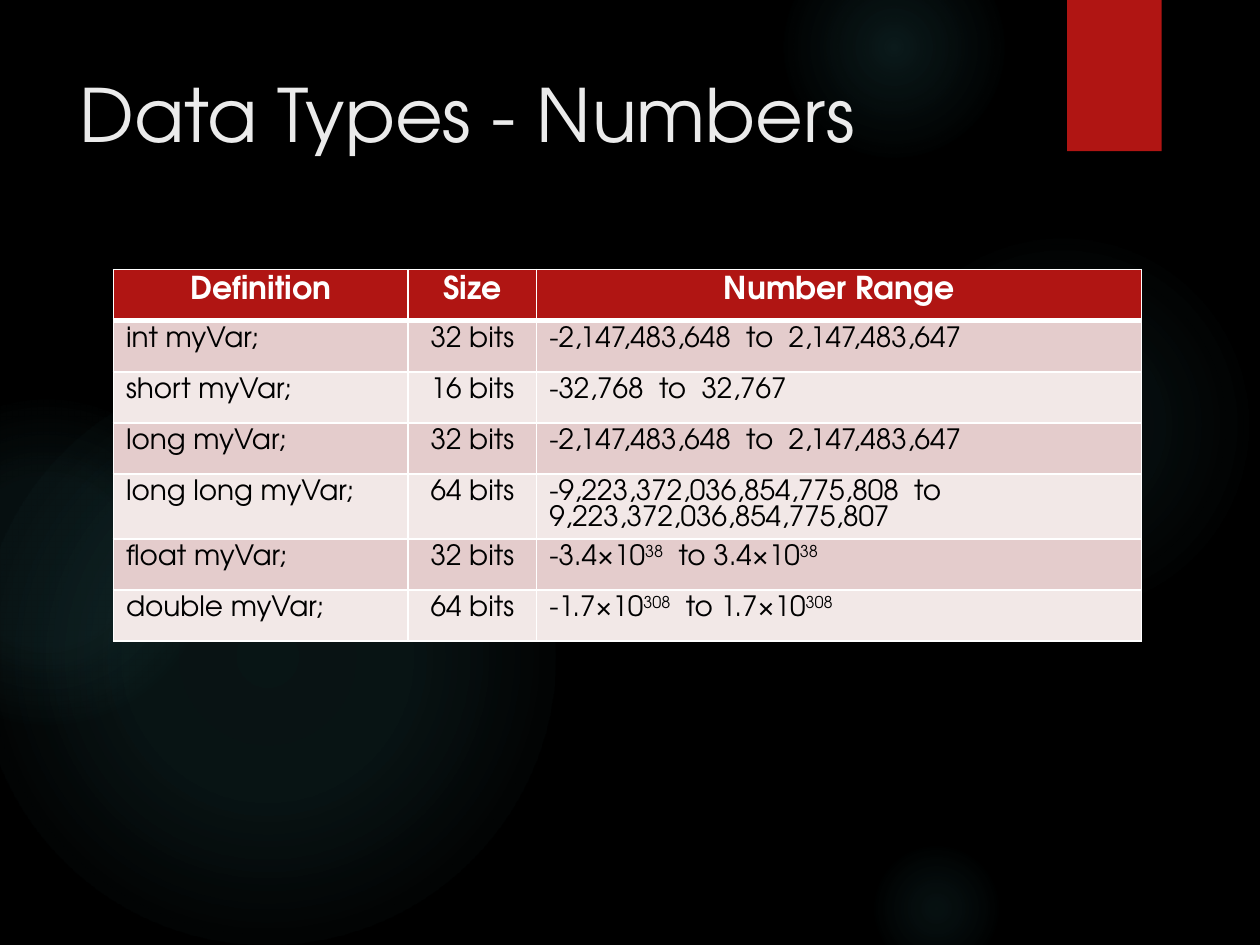
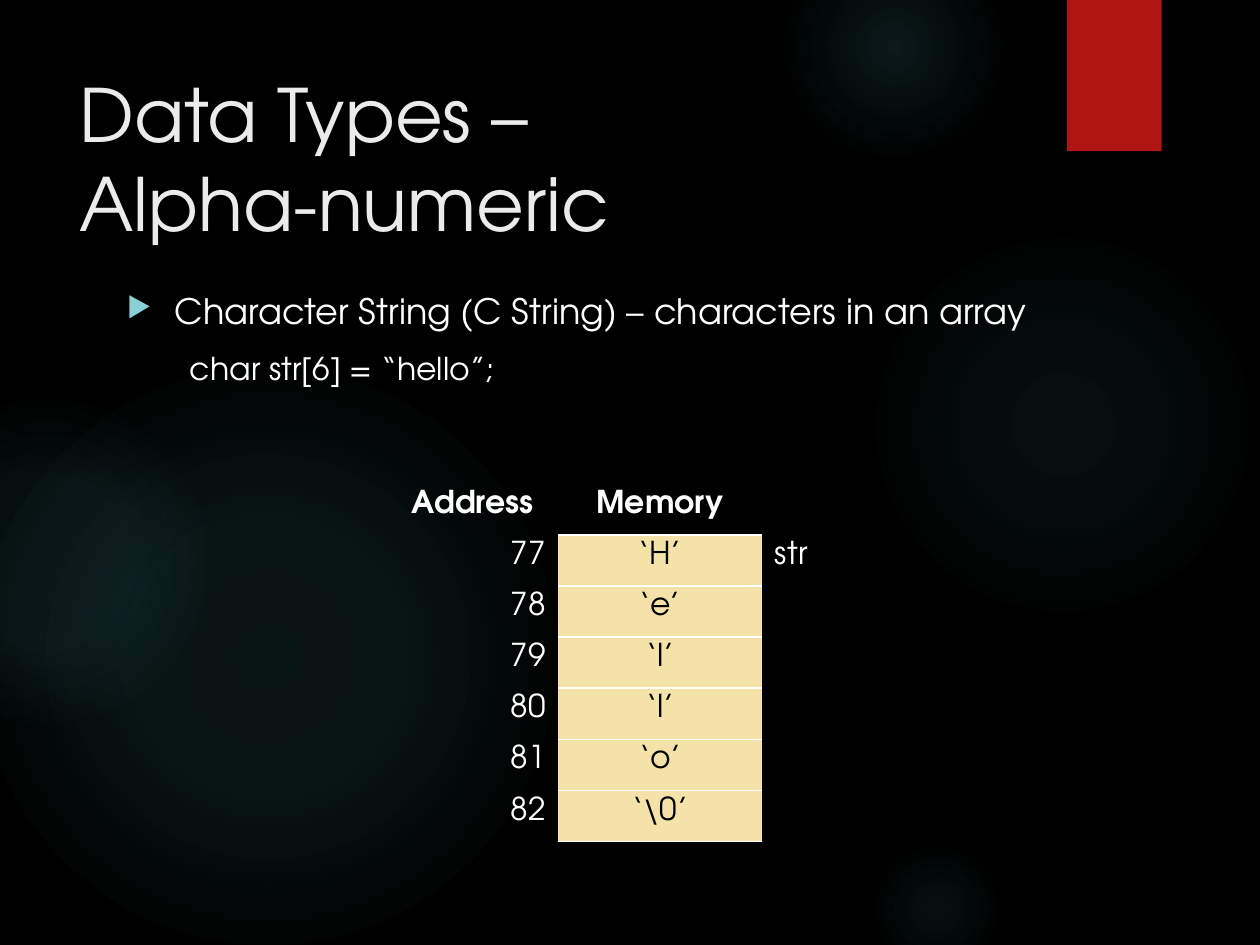
from dataclasses import dataclass

from pptx import Presentation
from pptx.dml.color import RGBColor
from pptx.enum.shapes import MSO_SHAPE
from pptx.enum.text import MSO_ANCHOR, MSO_AUTO_SIZE, PP_ALIGN
from pptx.oxml import parse_xml
from pptx.oxml.ns import nsdecls
from pptx.presentation import Presentation as Deck
from pptx.shapes.autoshape import Shape
from pptx.slide import Slide
from pptx.table import _Cell
from pptx.text.text import _Paragraph, _Run
from pptx.util import Inches, Pt


@dataclass(frozen=True)
class Theme:
    font: str = "TeX Gyre Adventor"
    background: str = "000000"
    glow: str = "50B9C1"
    accent: str = "B01513"
    title: str = "EBEBEB"
    light: str = "FFFFFF"
    dark: str = "000000"
    bullet: str = "8AD0D6"
    odd_row: str = "E4CCCC"
    even_row: str = "F2E8E7"
    memory: str = "F5E2A9"
    title_size: int = 42
    bullet_size: int = 20
    heading_size: int = 18
    code_size: int = 18
    range_size: int = 16


THEME = Theme()
TITLE_ONLY = 5


@dataclass(frozen=True)
class Glow:
    left: float
    top: float
    diameter: float
    stops: tuple[tuple[int, int], ...]


@dataclass(frozen=True)
class CellStyle:
    size: int
    color: str
    fill: str | None = None
    bold: bool = False
    align: PP_ALIGN = PP_ALIGN.LEFT
    side: int = 0
    top: int = 0
    bottom: int = 0


@dataclass(frozen=True)
class Entry:
    text: str
    style: CellStyle


@dataclass(frozen=True)
class Grid:
    left: float
    top: float
    widths: tuple[float, ...]
    rows: list[list[Entry]]
    height: float = 2.84


GLOWS = (
    Glow(6.89, 1.83, 3.08, ((0, 7), (36, 6), (69, 0))),
    Glow(6.22, -0.5, 1.75, ((0, 14), (36, 7), (73, 0))),
    Glow(6.89, 6.67, 1.08, ((0, 9), (36, 5), (66, 0))),
    Glow(-0.17, 2.92, 4.58, ((0, 11), (36, 10), (75, 0))),
    Glow(-0.92, 3.17, 2.58, ((0, 8), (36, 8), (72, 0))),
)

NUMBER_TYPES = (
    ("int myVar;", "32 bits", "-2,147,483,648  to  2,147,483,647"),
    ("short myVar;", "16 bits", "-32,768  to  32,767"),
    ("long myVar;", "32 bits", "-2,147,483,648  to  2,147,483,647"),
    ("long long myVar;", "64 bits",
     "-9,223,372,036,854,775,808  to  9,223,372,036,854,775,807"),
    ("float myVar;", "32 bits", "-3.4×10^38^  to 3.4×10^38"),
    ("double myVar;", "64 bits", "-1.7×10^308^  to 1.7×10^308"),
)

FIRST_ADDRESS = 77
CHARACTERS = ("H", "e", "l", "l", "o", r"\0")


def style_run(run: _Run, size: int, color: str, bold: bool = False) -> None:
    run.font.name = THEME.font
    run.font.size = Pt(size)
    run.font.bold = bold
    run.font.color.rgb = RGBColor.from_string(color)


def write_line(paragraph: _Paragraph, text: str, size: int, color: str,
               bold: bool = False) -> None:
    base, *others = text.split("^")
    paragraph.text = base
    for part in others:
        paragraph.add_run().text = part
    for index, run in enumerate(paragraph.runs):
        style_run(run, size, color, bold)
        if index % 2 and others:
            run._r.get_or_add_rPr().set("baseline", "30000")


def add_plain_shape(slide: Slide, kind: MSO_SHAPE, left: float, top: float,
                    width: float, height: float) -> Shape:
    shape = slide.shapes.add_shape(
        kind, Inches(left), Inches(top), Inches(width), Inches(height))
    shape.shadow.inherit = False
    shape.line.fill.background()
    slide.shapes.title.element.addprevious(shape.element)
    return shape


def add_glow(slide: Slide, glow: Glow) -> None:
    halo = add_plain_shape(slide, MSO_SHAPE.OVAL, glow.left, glow.top,
                           glow.diameter, glow.diameter)
    halo.fill.background()
    stops = "".join(
        f'<a:gs pos="{position * 1000}"><a:srgbClr val="{THEME.glow}">'
        f'<a:alpha val="{opacity * 1000}"/></a:srgbClr></a:gs>'
        for position, opacity in glow.stops)
    gradient = parse_xml(
        f'<a:gradFill {nsdecls("a")} rotWithShape="1"><a:gsLst>{stops}</a:gsLst>'
        '<a:path path="circle">'
        '<a:fillToRect l="50000" t="50000" r="50000" b="50000"/>'
        '</a:path></a:gradFill>')
    properties = halo.element.spPr
    properties.replace(properties.find("{*}noFill"), gradient)


def add_titled_slide(deck: Deck, heading: str) -> Slide:
    slide = deck.slides.add_slide(deck.slide_layouts[TITLE_ONLY])
    slide.background.fill.solid()
    slide.background.fill.fore_color.rgb = RGBColor.from_string(THEME.background)
    for glow in GLOWS:
        add_glow(slide, glow)
    ribbon = add_plain_shape(slide, MSO_SHAPE.RECTANGLE, 8.47, 0, 0.75, 1.2)
    ribbon.fill.solid()
    ribbon.fill.fore_color.rgb = RGBColor.from_string(THEME.accent)

    title = slide.shapes.title
    title.left, title.top = Inches(0.53), Inches(0.5)
    title.width, title.height = Inches(7.72), Inches(1.53)
    frame = title.text_frame
    frame.text = heading
    frame.auto_size = MSO_AUTO_SIZE.NONE
    frame.vertical_anchor = MSO_ANCHOR.TOP
    frame.paragraphs[0].alignment = PP_ALIGN.LEFT
    for run in frame.paragraphs[0].runs:
        style_run(run, THEME.title_size, THEME.title)
    return slide


def set_borders(cell: _Cell, style: CellStyle) -> None:
    properties = cell._tc.get_or_add_tcPr()
    widths = {"L": style.side, "R": style.side, "T": style.top, "B": style.bottom}
    for index, (edge, width) in enumerate(widths.items()):
        paint = (f'<a:solidFill><a:srgbClr val="{THEME.light}"/></a:solidFill>'
                 if width else "<a:noFill/>")
        properties.insert(index, parse_xml(
            f'<a:ln{edge} {nsdecls("a")} w="{Pt(width)}">{paint}</a:ln{edge}>'))


def fill_cell(cell: _Cell, entry: Entry) -> None:
    style = entry.style
    if style.fill:
        cell.fill.solid()
        cell.fill.fore_color.rgb = RGBColor.from_string(style.fill)
    else:
        cell.fill.background()
    set_borders(cell, style)
    paragraph = cell.text_frame.paragraphs[0]
    paragraph.alignment = style.align
    if entry.text:
        write_line(paragraph, entry.text, style.size, style.color, style.bold)


def add_grid(slide: Slide, grid: Grid) -> None:
    table = slide.shapes.add_table(
        len(grid.rows), len(grid.widths), Inches(grid.left), Inches(grid.top),
        Inches(sum(grid.widths)), Inches(grid.height)).table
    table.horz_banding = False
    for column, width in zip(table.columns, grid.widths):
        column.width = Inches(width)
    for row, entries in zip(table.rows, grid.rows):
        for cell, entry in zip(row.cells, entries):
            fill_cell(cell, entry)


def number_rows() -> list[list[Entry]]:
    heading = CellStyle(THEME.heading_size, THEME.light, THEME.accent, True,
                        PP_ALIGN.CENTER, side=1, top=1, bottom=3)
    rows = [[Entry(text, heading) for text in ("Definition", "Size", "Number Range")]]
    alignments = (PP_ALIGN.LEFT, PP_ALIGN.CENTER, PP_ALIGN.LEFT)
    for index, texts in enumerate(NUMBER_TYPES):
        fill = THEME.even_row if index % 2 else THEME.odd_row
        top = 1 if index else 3
        rows.append([
            Entry(text, CellStyle(THEME.range_size, THEME.dark, fill, align=align,
                                  side=1, top=top, bottom=1))
            for text, align in zip(texts, alignments)])
    return rows


def memory_rows() -> list[list[Entry]]:
    size = THEME.heading_size
    heading = CellStyle(size, THEME.light, bold=True, align=PP_ALIGN.CENTER)
    memory_heading = CellStyle(size, THEME.light, bold=True,
                               align=PP_ALIGN.CENTER, bottom=1)
    address = CellStyle(size, THEME.light, align=PP_ALIGN.RIGHT)
    memory = CellStyle(size, THEME.dark, THEME.memory, align=PP_ALIGN.CENTER,
                       top=1, bottom=1)
    variable = CellStyle(size, THEME.light)
    rows = [[Entry("Address", heading), Entry("Memory", memory_heading),
             Entry("", variable)]]
    for offset, character in enumerate(CHARACTERS):
        rows.append([Entry(str(FIRST_ADDRESS + offset), address),
                     Entry(f"‘{character}’", memory),
                     Entry("" if offset else "str", variable)])
    return rows


def add_string_notes(slide: Slide) -> None:
    frame = slide.shapes.add_textbox(
        Inches(0.91), Inches(2.25), Inches(7.34), Inches(1)).text_frame
    frame.word_wrap = True
    definition, declaration = frame.paragraphs[0], frame.add_paragraph()
    write_line(definition, "Character String (C String) – characters in an array",
               THEME.bullet_size, THEME.light)
    write_line(declaration, "char str[6] = “hello”;", THEME.code_size, THEME.light)
    declaration.level = 1
    for paragraph in (definition, declaration):
        paragraph.space_before = Pt(10)
    hanging = definition._p.get_or_add_pPr()
    hanging.set("marL", str(Inches(0.38)))
    hanging.set("indent", str(-Inches(0.38)))
    for bullet_part in (
            f'<a:buClr {nsdecls("a")}><a:srgbClr val="{THEME.bullet}"/></a:buClr>',
            f'<a:buSzPct {nsdecls("a")} val="80000"/>',
            f'<a:buChar {nsdecls("a")} char="▶"/>'):
        hanging.append(parse_xml(bullet_part))
    indented = declaration._p.get_or_add_pPr()
    indented.set("marL", str(Inches(0.5)))
    indented.set("indent", "0")


def main() -> None:
    deck = Presentation()
    deck.slide_width, deck.slide_height = Inches(10), Inches(7.5)

    numbers = add_titled_slide(deck, "Data Types - Numbers")
    add_grid(numbers, Grid(0.9, 2.14, (2.34, 1.02, 4.8), number_rows()))

    strings = add_titled_slide(deck, "Data Types – \vAlpha-numeric")
    add_string_notes(strings)
    add_grid(strings, Grid(3.07, 3.84, (1.36, 1.62, 1.25), memory_rows()))

    deck.save("out.pptx")


if __name__ == "__main__":
    main()
